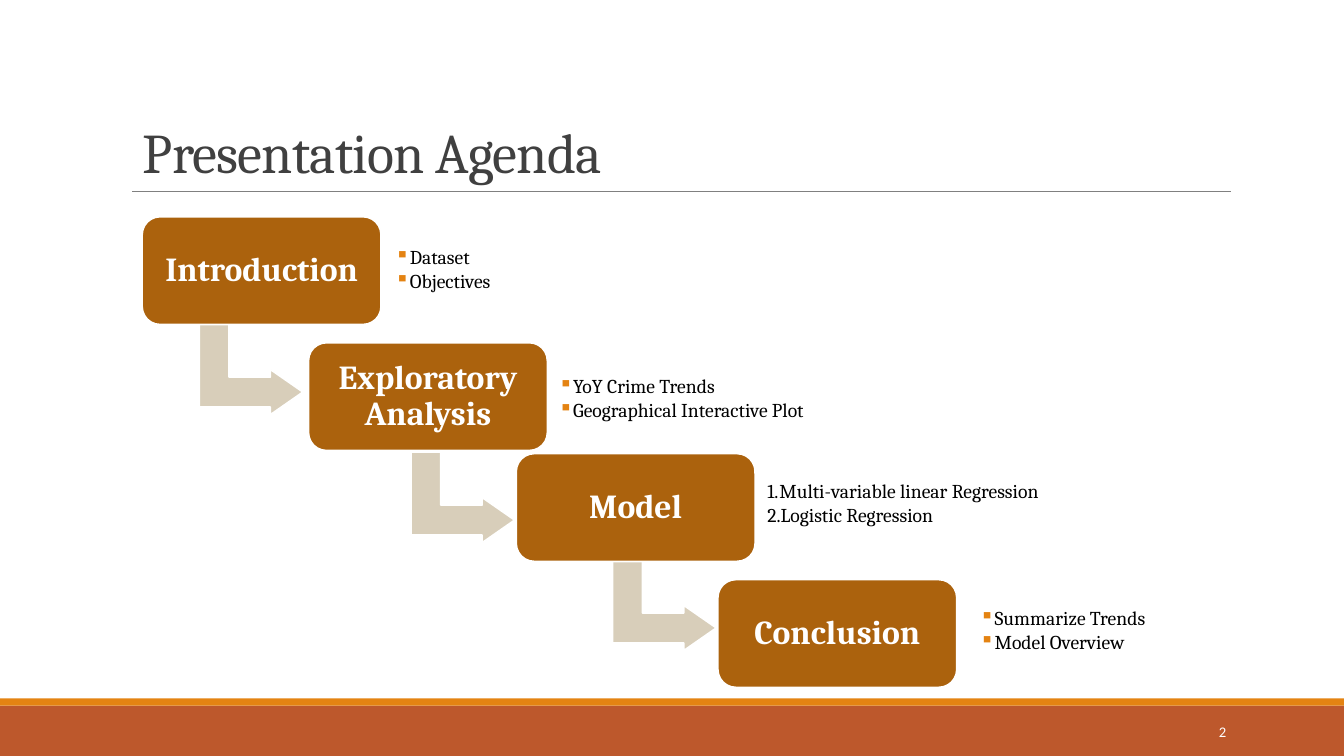
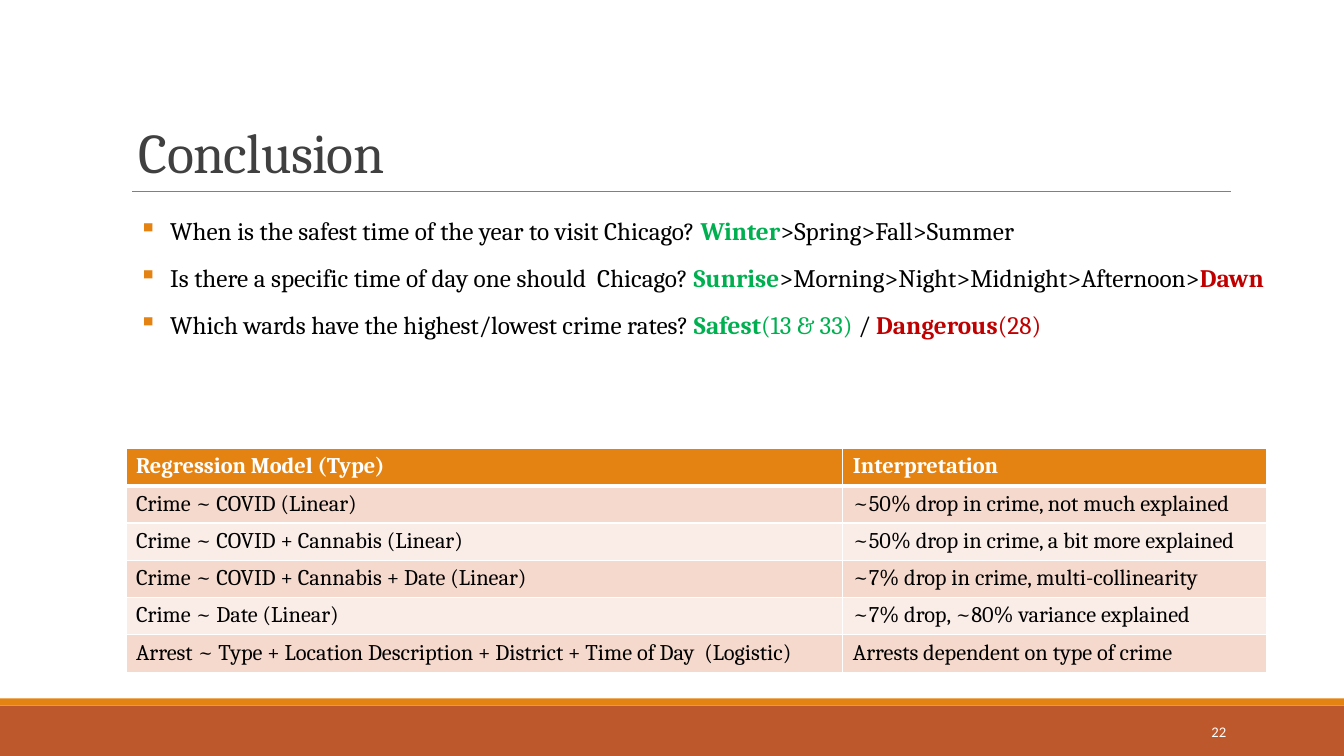
from pptx import Presentation
from pptx import util as u
from pptx.dml.color import RGBColor
from pptx.enum import shapes, text
from pptx.oxml import ns
from lxml import etree

WHITE = RGBColor(0xFF, 0xFF, 0xFF)
BLACK = RGBColor(0x00, 0x00, 0x00)
CHARCOAL = RGBColor(0x40, 0x40, 0x40)
GRAY = RGBColor(0x80, 0x80, 0x80)
RUST = RGBColor(0xBD, 0x58, 0x2C)
ORANGE = RGBColor(0xE4, 0x83, 0x12)
BROWN = RGBColor(0xAB, 0x62, 0x0D)
SAND = RGBColor(0xD8, 0xCE, 0xBA)
PEACH = RGBColor(0xF5, 0xD9, 0xCC)
BLUSH = RGBColor(0xFA, 0xED, 0xE7)
GREEN = RGBColor(0x00, 0xB0, 0x50)
RED = RGBColor(0xC0, 0x00, 0x00)

SERIF = "Cambria"
SANS = "Calibri"
PREFIX = shapes.MSO_SHAPE
ALIGN = text.PP_ALIGN
ANCHOR = text.MSO_ANCHOR


def add_child(parent, tag, **attributes):
    return etree.SubElement(parent, ns.qn(tag), attributes)


class SlideBuilder:
    def __init__(self, deck):
        self.deck = deck
        self.page = None

    def start(self, title, title_left, number):
        self.page = self.deck.slides.add_slide(self.deck.slide_layouts[6])
        self.shape(PREFIX.RECTANGLE, (0, 7, 13.33, 0.5), RUST)
        self.shape(PREFIX.RECTANGLE, (0, 6.93, 13.33, 0.07), ORANGE)
        self.rule(1.31, 12.21, 1.9)
        frame = self.text_box((title_left, 1.18, 11, 0.7), ANCHOR.BOTTOM)
        para = frame.paragraphs[0]
        para.line_spacing = 0.85
        span = self.span(para, title, 40, CHARCOAL)
        span.font._element.set("spc", "-50")
        para = self.text_box((10.83, 7.06, 1.43, 0.4)).paragraphs[0]
        para.alignment = ALIGN.RIGHT
        self.span(para, number, 10.5, WHITE, font=SANS)

    def span(self, para, words, size, color, bold=False, font=SERIF):
        span = para.add_run()
        span.text = words
        span.font.size = u.Pt(size)
        span.font.name = font
        span.font.bold = bold
        span.font.color.rgb = color
        return span

    def shape(self, kind, bounds, fill, outline=None):
        shape = self.page.shapes.add_shape(kind, *map(u.Inches, bounds))
        shape.shadow.inherit = False
        shape.fill.solid()
        shape.fill.fore_color.rgb = fill
        if outline is None:
            shape.line.fill.background()
        else:
            shape.line.color.rgb = outline
            shape.line.width = u.Pt(1.25)
        return shape

    def rule(self, left, right, top):
        line = self.page.shapes.add_connector(
            shapes.MSO_CONNECTOR.STRAIGHT,
            *map(u.Inches, (left, top, right, top)))
        line.line.color.rgb = GRAY
        line.line.width = u.Pt(0.5)
        add_child(line._element.spPr, "a:effectLst")

    def setup_frame(self, frame, anchor, inset=None):
        frame.word_wrap = True
        frame.vertical_anchor = anchor
        if inset is not None:
            frame.margin_left = frame.margin_right = u.Inches(inset)
            frame.margin_top = frame.margin_bottom = u.Inches(inset)
        return frame

    def text_box(self, bounds, anchor=ANCHOR.MIDDLE, inset=None):
        box = self.page.shapes.add_textbox(*map(u.Inches, bounds))
        return self.setup_frame(box.text_frame, anchor, inset)

    def card(self, left, top, label):
        card = self.shape(PREFIX.ROUNDED_RECTANGLE, (left, top, 2.37, 1.07), BROWN, WHITE)
        para = self.setup_frame(card.text_frame, ANCHOR.MIDDLE, 0.15).paragraphs[0]
        para.alignment = ALIGN.CENTER
        para.line_spacing = 0.9
        self.span(para, label, 24, WHITE, True)

    def step_arrow(self, left, top):
        arrow = self.shape(PREFIX.BENT_UP_ARROW, (left, top, 0.9, 1.03), SAND, WHITE)
        arrow.rotation = 90
        for index, value in enumerate((0.33, 0.25, 0.36)):
            arrow.adjustments[index] = value

    def bullets(self, frame, items, size, indent, before, after,
                spacing=None, alignment=None, numbered=False):
        for index, spans in enumerate(items):
            para = frame.add_paragraph() if index else frame.paragraphs[0]
            para.space_before = u.Pt(before)
            para.space_after = u.Pt(after)
            para.line_spacing = spacing
            para.alignment = alignment
            props = para._p.get_or_add_pPr()
            props.set("marL", str(u.Inches(indent)))
            props.set("indent", str(-u.Inches(indent)))
            if numbered:
                add_child(props, "a:buAutoNum", type="arabicPeriod")
            else:
                add_child(add_child(props, "a:buClr"), "a:srgbClr", val=str(ORANGE))
                add_child(props, "a:buChar", char="▪")
            for words, color, bold in spans:
                self.span(para, words, size, color, bold)

    def table(self, left, top, widths, row_height, rows):
        grid = self.page.shapes.add_table(
            len(rows), len(widths), u.Inches(left), u.Inches(top),
            u.Inches(sum(widths)), u.Inches(row_height * len(rows))).table
        for column, width in zip(grid.columns, widths):
            column.width = u.Inches(width)
        for row_index, row in enumerate(rows):
            header = row_index == 0
            fill = ORANGE if header else (BLUSH, PEACH)[row_index % 2]
            for column_index, words in enumerate(row):
                cell = grid.cell(row_index, column_index)
                self.borders(cell, 3 if row_index == 1 else 1, 3 if header else 1)
                cell.fill.solid()
                cell.fill.fore_color.rgb = fill
                self.span(cell.text_frame.paragraphs[0], words, 16,
                          WHITE if header else BLACK, header)

    def borders(self, cell, top, bottom):
        props = cell._tc.get_or_add_tcPr()
        for side, width in (("L", 1), ("R", 1), ("T", top), ("B", bottom)):
            line = add_child(props, f"a:ln{side}", w=str(u.Pt(width)))
            add_child(add_child(line, "a:solidFill"), "a:srgbClr", val=str(WHITE))


AGENDA = [
    ((1.41, 2.15), "Introduction ", (3.86, 2.25, 2.61, 0.86), False,
     ["Dataset", "Objectives"]),
    ((3.06, 3.4), "Exploratory Analysis", (5.48, 3.53, 3.48, 0.86), False,
     ["YoY Crime Trends", "Geographical Interactive Plot"]),
    ((5.12, 4.5), "Model", (7.55, 4.55, 3.59, 0.9), True,
     ["Multi-variable linear Regression", "Logistic Regression"]),
    ((7.12, 5.75), "Conclusion", (9.66, 5.83, 2.34, 0.86), False,
     ["Summarize Trends", "Model Overview"]),
]
STEP_ARROWS = [(2.04, 3.15), (4.14, 4.42), (6.14, 5.49)]

FINDINGS = [
    [("When is the safest time of the year to visit Chicago? ", BLACK, False),
     ("Winter", GREEN, True),
     (">Spring>Fall>Summer", BLACK, False)],
    [("Is there a specific time of day one should  Chicago? ", BLACK, False),
     ("Sunrise", GREEN, True),
     (">Morning>Night>Midnight>Afternoon>", BLACK, False),
     ("Dawn", RED, True)],
    [("Which wards have the highest/lowest crime rates? ", BLACK, False),
     ("Safest", GREEN, True),
     ("(13 & 33) ", GREEN, False),
     ("/ ", BLACK, False),
     ("Dangerous", RED, True),
     ("(28)", RED, False)],
]
MODELS = [
    ("Regression Model (Type)", "Interpretation"),
    ("Crime ~ COVID (Linear)", "~50% drop in crime, not much explained"),
    ("Crime ~ COVID + Cannabis (Linear)", "~50% drop in crime, a bit more explained"),
    ("Crime ~ COVID + Cannabis + Date (Linear)", "~7% drop in crime, multi-collinearity"),
    ("Crime ~ Date (Linear)", "~7% drop, ~80% variance explained"),
    ("Arrest ~ Type + Location Description + District + Time of Day  (Logistic)",
     "Arrests dependent on type of crime"),
]


def build_agenda(builder):
    builder.start("Presentation Agenda", 1.32, "2")
    for position in STEP_ARROWS:
        builder.step_arrow(*position)
    for position, label, bounds, numbered, topics in AGENDA:
        builder.card(*position, label)
        frame = builder.text_box(bounds, inset=0.06)
        builder.bullets(frame, [[(topic, BLACK, False)] for topic in topics],
                        14, 0.12, 0, 2, spacing=0.9, numbered=numbered)


def build_conclusion(builder):
    builder.start("Conclusion", 1.28, "22")
    frame = builder.text_box((1.28, 2.09, 11.89, 1.35), ANCHOR.TOP)
    builder.bullets(frame, FINDINGS, 18, 0.31, 6, 6, alignment=ALIGN.JUSTIFY)
    builder.table(1.25, 4.45, (7.11, 4.2), 0.37, MODELS)


def main():
    deck = Presentation()
    deck.slide_width = u.Inches(13.33)
    deck.slide_height = u.Inches(7.5)
    builder = SlideBuilder(deck)
    build_agenda(builder)
    build_conclusion(builder)
    deck.save("out.pptx")


if __name__ == "__main__":
    main()
